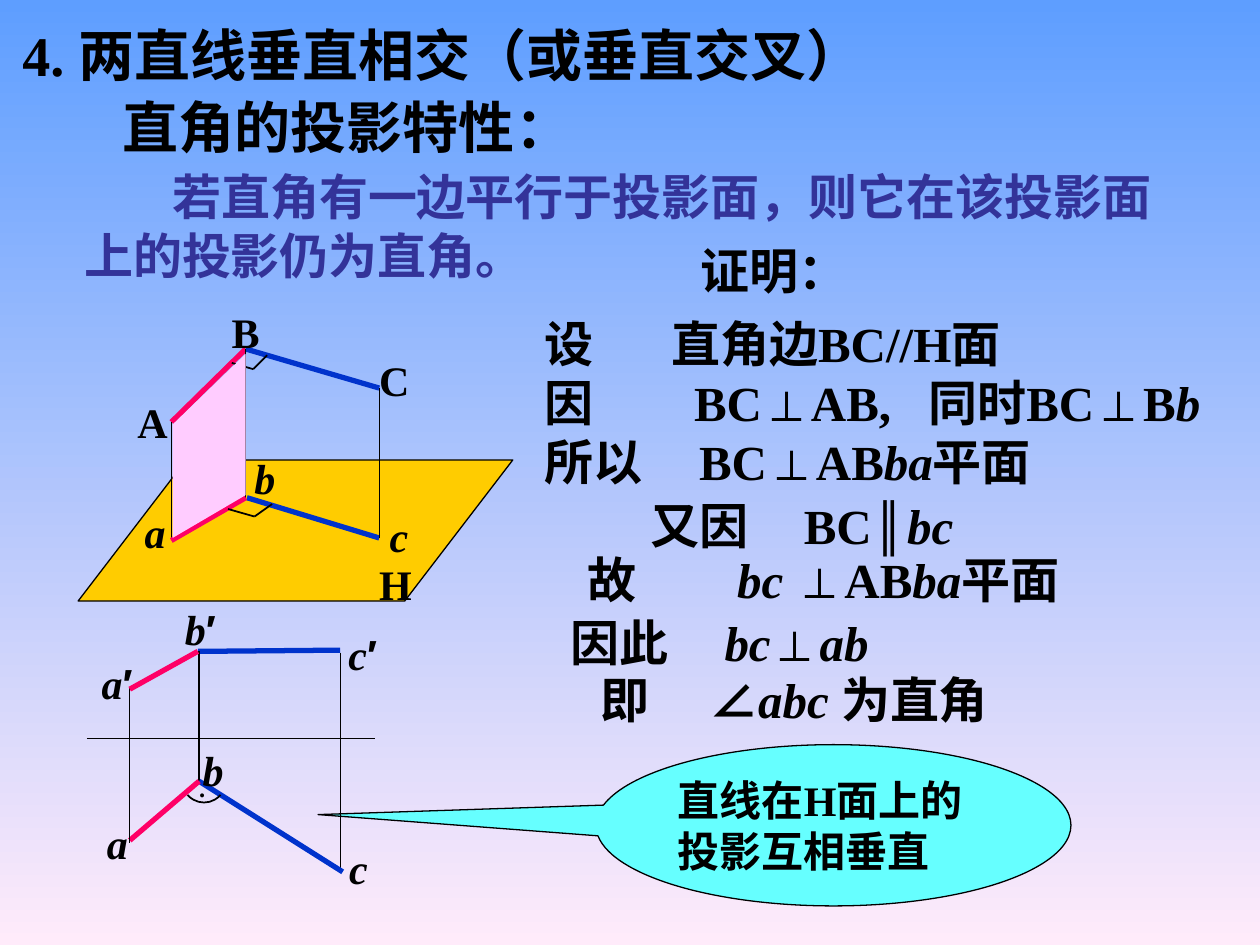
from lxml import etree
from pptx import Presentation
from pptx.dml.color import RGBColor
from pptx.enum.shapes import MSO_CONNECTOR, MSO_SHAPE
from pptx.enum.text import MSO_ANCHOR, MSO_AUTO_SIZE, PP_ALIGN
from pptx.oxml.ns import qn
from pptx.util import Inches, Pt

STRAIGHT = MSO_CONNECTOR.STRAIGHT
ARC = MSO_SHAPE.ARC
CALLOUT = MSO_SHAPE.OVAL_CALLOUT
PARALLELOGRAM = MSO_SHAPE.PARALLELOGRAM
MIDDLE = MSO_ANCHOR.MIDDLE
GROW = MSO_AUTO_SIZE.SHAPE_TO_FIT_TEXT
LEFT, CENTER = PP_ALIGN.LEFT, PP_ALIGN.CENTER

BLACK = RGBColor(0x00, 0x00, 0x00)
INDIGO = RGBColor(0x33, 0x33, 0x99)
RED = RGBColor(0xFF, 0x00, 0x66)
BLUE = RGBColor(0x00, 0x33, 0xCC)
GOLD = RGBColor(0xFF, 0xCC, 0x00)
PINK = RGBColor(0xFF, 0xCC, 0xFF)
CYAN = RGBColor(0x66, 0xFF, 0xFF)
SKY = RGBColor(0x5E, 0x9E, 0xFF)
BLUSH = RGBColor(0xFF, 0xEB, 0xFA)

THIN, MARK, THICK = 0.75, 1, 3


def write_runs(paragraph, text, size, color=BLACK, align=LEFT):
    """Alternate upright and italic runs at each underscore."""
    paragraph.alignment = align
    for index, part in enumerate(text.split("_")):
        for piece in (part.replace("′", ""), "′" * part.count("′")):
            if not piece:
                continue
            run = paragraph.add_run()
            run.text = piece
            run.font.size = Pt(size)
            run.font.bold = True
            run.font.italic = index % 2 == 1 and piece != "′"
            run.font.name = "Arial" if piece == "′" else "Times New Roman"
            run.font.color.rgb = color


def add_text(shapes, box, text, size, color=BLACK, align=LEFT, wrap=True):
    shape = shapes.add_textbox(*map(Inches, box))
    frame = shape.text_frame
    frame.word_wrap = wrap
    frame.auto_size = GROW
    frame.vertical_anchor = MIDDLE
    write_runs(frame.paragraphs[0], text, size, color, align)
    return shape


def style_shape(shape, fill=None, line=THIN):
    shape.shadow.inherit = False
    if fill is None:
        shape.fill.background()
    else:
        shape.fill.solid()
        shape.fill.fore_color.rgb = fill
    if line is None:
        shape.line.fill.background()
    else:
        shape.line.color.rgb = BLACK
        shape.line.width = Pt(line)


def add_segments(shapes, left, top, segments):
    for x1, y1, x2, y2, color, width in segments:
        ends = (left + x1, top + y1, left + x2, top + y2)
        connector = shapes.add_connector(STRAIGHT, *map(Inches, ends))
        connector.line.color.rgb = color
        connector.line.width = Pt(width)
        etree.SubElement(connector._element.spPr, qn("a:effectLst"))


def add_labels(shapes, left, top, labels):
    for text, x, y, width in labels:
        box = (left + x, top + y, width, 0.5)
        add_text(shapes, box, text, 24, align=CENTER, wrap=False)


def add_tabs(paragraph, positions):
    tab_list = etree.SubElement(paragraph._p.get_or_add_pPr(), qn("a:tabLst"))
    for position in positions:
        etree.SubElement(tab_list, qn("a:tab"), pos=str(Inches(position)), algn="l")


def add_background(slide):
    fill = slide.background.fill
    fill.gradient()
    fill.gradient_angle = 270
    for stop, color, position in zip(fill.gradient_stops, (SKY, BLUSH), (0, 1)):
        stop.color.rgb = color
        stop.position = position


def add_heading(shapes, left, top):
    add_text(shapes, (left, top, 9.17, 0.64), "4. 两直线垂直相交（或垂直交叉）", 32)
    add_text(shapes, (left + 0.35, top + 0.57, 4.65, 0.64), "直角的投影特性：", 32,
             align=CENTER)
    theorem = add_text(shapes, (left + 0.49, top + 1.16, 8.9, 1.04),
                       "若直角有一边平行于投影面，则它在该投影面上的投影仍为直角。", 28, INDIGO)
    properties = theorem.text_frame.paragraphs[0]._p.get_or_add_pPr()
    properties.set("indent", str(Inches(0.7)))


def add_proof(shapes, left, top):
    add_text(shapes, (left + 0.19, top, 3.55, 0.57), "证明：", 28, align=CENTER)
    steps = [
        ((0.04, 0.58, 5.78, 1.5), 0.1, [
            ("设\t直角边BC//H面", [1.01]),
            ("因\tBC⊥AB,\t同时BC⊥B_b", [1.19, 3.05]),
            ("所以\tBC⊥AB_ba_平面", [1.23])]),
        ((0, 2.02, 4.36, 0.57), 0.98, [("又因\tBC∥_bc", [1.22])]),
        ((0.05, 2.45, 4.71, 0.57), 0.43, [("故\t_bc _⊥AB_ba_平面", [1.19])]),
        ((0.05, 2.95, 2.98, 0.57), 0.3, [("因此\t_bc_⊥_ab", [1.22])]),
        ((0.04, 3.4, 4.33, 0.57), 0.55, [("即\t∠_abc _为直角", [0.86])]),
    ]
    for (x, y, width, height), margin, lines in steps:
        box = (left + x, top + y, width, height)
        frame = add_text(shapes, box, "", 28).text_frame
        frame.margin_left = Inches(margin)
        for index, (text, tabs) in enumerate(lines):
            paragraph = frame.add_paragraph() if index else frame.paragraphs[0]
            add_tabs(paragraph, tabs)
            write_runs(paragraph, text, 28)


def add_conclusion(shapes, left, top, width, height):
    callout = shapes.add_shape(CALLOUT, *map(Inches, (left, top, width, height)))
    callout.adjustments[0] = -1.085
    callout.adjustments[1] = -0.066
    style_shape(callout, CYAN)
    frame = callout.text_frame
    frame.word_wrap = True
    frame.vertical_anchor = MIDDLE
    write_runs(frame.paragraphs[0], "直线在H面上的投影互相垂直", 24)


def add_space_diagram(slide_shapes, left, top):
    shapes = slide_shapes.add_group_shape().shapes
    plane = shapes.add_shape(PARALLELOGRAM, *map(Inches, (left, top + 1.27, 3.45, 1.12)))
    plane.adjustments[0] = 0.766
    style_shape(plane, GOLD)
    add_segments(shapes, left, top, [
        (1.33, 0.39, 0.74, 0.97, RED, THICK),
        (1.33, 0.39, 2.39, 0.7, BLUE, THICK),
        (1.34, 1.57, 2.39, 1.89, BLUE, THICK),
        (2.39, 0.7, 2.39, 1.89, BLACK, THIN),
        (1.33, 0.39, 1.33, 1.57, BLACK, THIN),
        (0.74, 0.97, 0.74, 1.89, BLACK, THIN),
        (0.74, 1.91, 1.33, 1.57, RED, THICK),
        (1.22, 0.5, 1.39, 0.55, BLACK, MARK),
        (1.39, 0.55, 1.5, 0.44, BLACK, MARK),
        (1.19, 1.66, 1.4, 1.72, BLACK, MARK),
        (1.4, 1.72, 1.54, 1.62, BLACK, MARK),
    ])
    add_labels(shapes, left, top, [
        ("A", 0.37, 0.72, 0.44), ("B", 1.12, 0, 0.42), ("C", 2.29, 0.38, 0.44),
        ("_a", 0.43, 1.59, 0.36), ("_b", 1.3, 1.16, 0.36), ("_c", 2.37, 1.62, 0.35),
        ("H", 2.29, 2, 0.46),
    ])
    corners = [(Inches(left + x), Inches(top + y)) for x, y in
               [(0.75, 0.99), (1.33, 0.43), (1.33, 1.55), (0.75, 1.89)]]
    builder = slide_shapes.build_freeform(*corners[0])
    builder.add_line_segments(corners[1:], close=True)
    style_shape(builder.convert_to_shape(), PINK, None)


def add_projection_diagram(slide_shapes, left, top):
    shapes = slide_shapes.add_group_shape().shapes
    add_segments(shapes, left, top, [
        (2.01, 0.44, 2.01, 2.16, BLACK, THIN),
        (0, 1.12, 2.29, 1.12, BLACK, THIN),
        (0.88, 0.43, 2.01, 0.42, BLUE, THICK),
        (0.89, 0.43, 0.89, 1.46, BLACK, THIN),
        (2.03, 2.18, 0.89, 1.46, BLUE, THICK),
        (0.89, 1.46, 0.34, 1.93, RED, THICK),
        (0.34, 1.95, 0.34, 0.71, BLACK, THIN),
        (0.34, 0.73, 0.88, 0.43, RED, THICK),
    ])
    add_labels(shapes, left, top, [
        ("_a′", 0, 0.43, 0.48), ("_c′", 1.96, 0.2, 0.46), ("_b′", 0.66, 0, 0.48),
        ("_a", 0.06, 1.7, 0.36), ("_b", 0.82, 1.12, 0.36), ("_c", 1.98, 1.9, 0.35),
    ])
    arc = shapes.add_shape(ARC, *map(Inches, (left + 0.76, top + 1.29, 0.34, 0.34)))
    arc.adjustments[0] = 24
    arc.adjustments[1] = 84
    style_shape(arc, line=MARK)
    add_text(shapes, (left + 0.79, top + 1.34, 0.25, 0.34), ".", 14,
             align=CENTER, wrap=False)


def main():
    presentation = Presentation()
    presentation.slide_width = Inches(10)
    presentation.slide_height = Inches(7.5)
    slide = presentation.slides.add_slide(presentation.slide_layouts[6])
    add_background(slide)
    add_heading(slide.shapes, 0.08, 0.11)
    add_conclusion(slide.shapes, 4.73, 5.91, 3.77, 1.28)
    add_proof(slide.shapes, 4.18, 1.86)
    add_projection_diagram(slide.shapes, 0.69, 4.74)
    add_space_diagram(slide.shapes, 0.62, 2.38)
    presentation.save("out.pptx")


if __name__ == "__main__":
    main()
